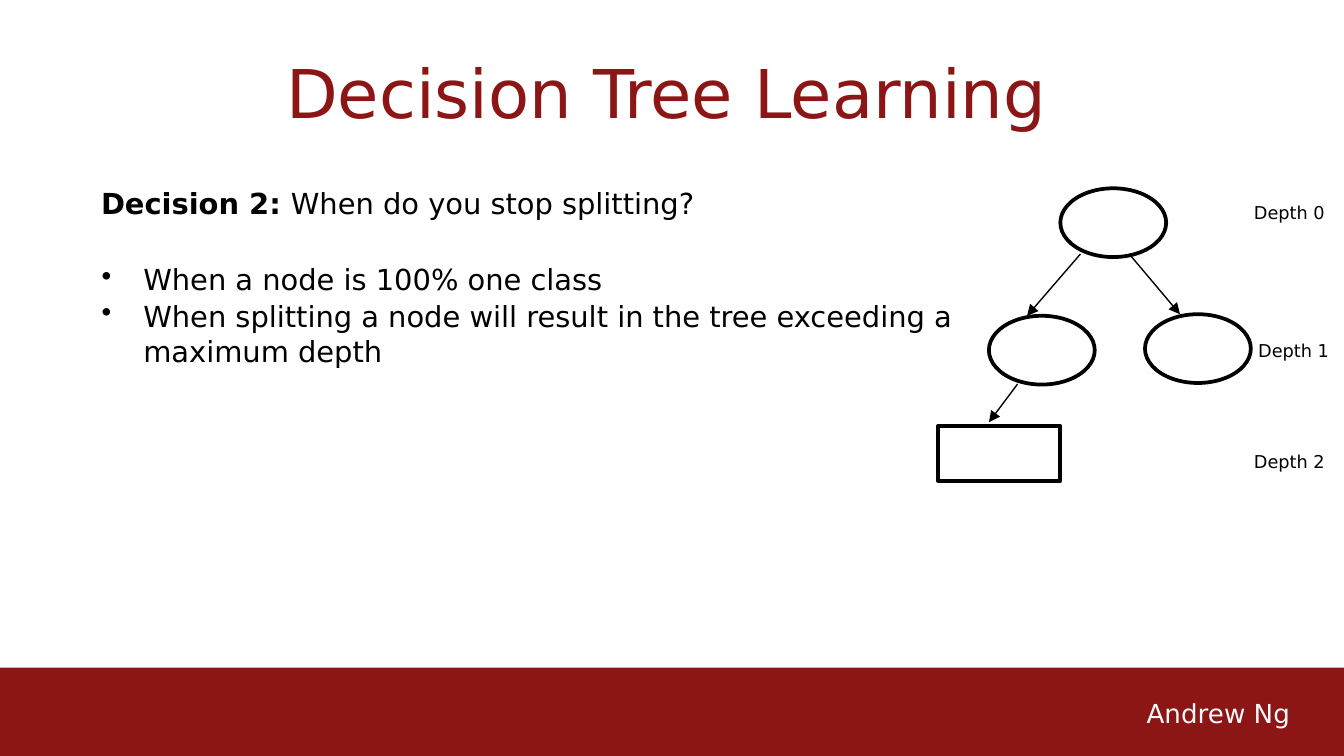
from dataclasses import dataclass

import pptx
import pptx.dml.color
import pptx.enum.shapes
import pptx.enum.text
import pptx.oxml.ns
import pptx.util
from lxml import etree

Cm = pptx.util.Cm
Pt = pptx.util.Pt
SHAPES = pptx.enum.shapes.MSO_SHAPE
qn = pptx.oxml.ns.qn


@dataclass(frozen=True)
class Theme:
    font: str = "DejaVu Sans"
    red: str = "8C1515"
    ink: str = "000000"
    pale: str = "F8F8F8"
    title: float = 36
    body: float = 15.5
    footer: float = 14
    label: float = 9.5
    outline: float = 2
    arrow: float = 0.75


THEME = Theme()


def rgb(color):
    return pptx.dml.color.RGBColor.from_string(color)


def add_run(p, text, size, color, bold=False):
    r = p.add_run()
    r.text = text
    r.font.name = THEME.font
    r.font.size = Pt(size)
    r.font.bold = bold
    r.font.color.rgb = rgb(color)


def add_text(s, left, top, width, height, paragraphs, size, color=THEME.ink,
             before=1.2, inset=0.05, indent=0.03):
    tf = s.shapes.add_textbox(Cm(left), Cm(top), Cm(width), Cm(height)).text_frame
    tf.word_wrap = True
    tf.auto_size = pptx.enum.text.MSO_AUTO_SIZE.NONE
    tf.margin_left = tf.margin_right = tf.margin_bottom = 0
    tf.margin_top = Cm(inset)
    for i, runs in enumerate(paragraphs):
        p = tf.add_paragraph() if i else tf.paragraphs[0]
        p.space_before = Pt(before)
        p._p.get_or_add_pPr().set("marL", str(Cm(indent)))
        for text, bold in runs:
            add_run(p, text, size, color, bold)
    return tf


def add_bullets(s, left, top, width, height, items):
    paragraphs = [[(item, False)] for item in items]
    tf = add_text(s, left, top, width, height, paragraphs, THEME.body, indent=0.83)
    for p in tf.paragraphs:
        pPr = p._p.get_or_add_pPr()
        pPr.set("indent", str(Cm(-0.79)))
        etree.SubElement(pPr, qn("a:buChar")).set("char", "•")


def add_node(s, kind, left, top, width, height):
    sp = s.shapes.add_shape(kind, Cm(left), Cm(top), Cm(width), Cm(height))
    sp.shadow.inherit = False
    sp.fill.background()
    sp.line.color.rgb = rgb(THEME.ink)
    sp.line.width = Pt(THEME.outline)


def add_arrow(s, x1, y1, x2, y2):
    sp = s.shapes.add_connector(pptx.enum.shapes.MSO_CONNECTOR.STRAIGHT,
                                Cm(x1), Cm(y1), Cm(x2), Cm(y2))
    sp.line.color.rgb = rgb(THEME.ink)
    sp.line.width = Pt(THEME.arrow)
    etree.SubElement(sp.line._get_or_add_ln(), qn("a:tailEnd")).set("type", "triangle")
    etree.SubElement(sp._element.spPr, qn("a:effectLst"))


def add_footer(s):
    sp = s.shapes.add_shape(SHAPES.RECTANGLE, 0, Cm(12.62), Cm(25.4), Cm(1.67))
    sp.shadow.inherit = False
    sp.fill.solid()
    sp.fill.fore_color.rgb = rgb(THEME.red)
    sp.line.fill.background()
    add_text(s, 21.64, 13.11, 2.82, 0.79, [[("Andrew Ng", False)]],
             THEME.footer, THEME.pale, before=1.9, inset=0.08)


def add_tree(s):
    for left, top in [(20.04, 3.56), (18.69, 5.97), (21.64, 5.94)]:
        add_node(s, SHAPES.OVAL, left, top, 2, 1.3)
    add_node(s, SHAPES.RECTANGLE, 17.73, 8.05, 2.31, 1.04)
    for ends in [(20.42, 4.8, 19.41, 5.97), (21.34, 4.8, 22.3, 5.94),
                 (19.23, 7.26, 18.69, 7.98)]:
        add_arrow(s, *ends)
    for depth, (left, top) in enumerate([(23.67, 3.76), (23.75, 6.38), (23.67, 8.48)]):
        add_text(s, left, top, 1.6, 0.48, [[(f"Depth {depth}", False)]], THEME.label)


def main():
    prs = pptx.Presentation()
    prs.slide_width, prs.slide_height = Cm(25.4), Cm(14.29)
    s = prs.slides.add_slide(prs.slide_layouts[6])
    add_footer(s)
    add_text(s, 1.63, 0.94, 22.17, 1.45, [[("Decision Tree Learning", False)]],
             THEME.title, THEME.red, before=1.1, inset=0.03, indent=3.78)
    add_text(s, 1.88, 3.45, 11.9, 0.74,
             [[("Decision 2: ", True), ("When do you stop splitting?", False)]], THEME.body)
    add_bullets(s, 1.88, 4.9, 16.13, 2.08, [
        "When a node is 100% one class",
        "When splitting a node will result in the tree exceeding a maximum depth",
    ])
    add_tree(s)
    prs.save("out.pptx")


if __name__ == "__main__":
    main()
